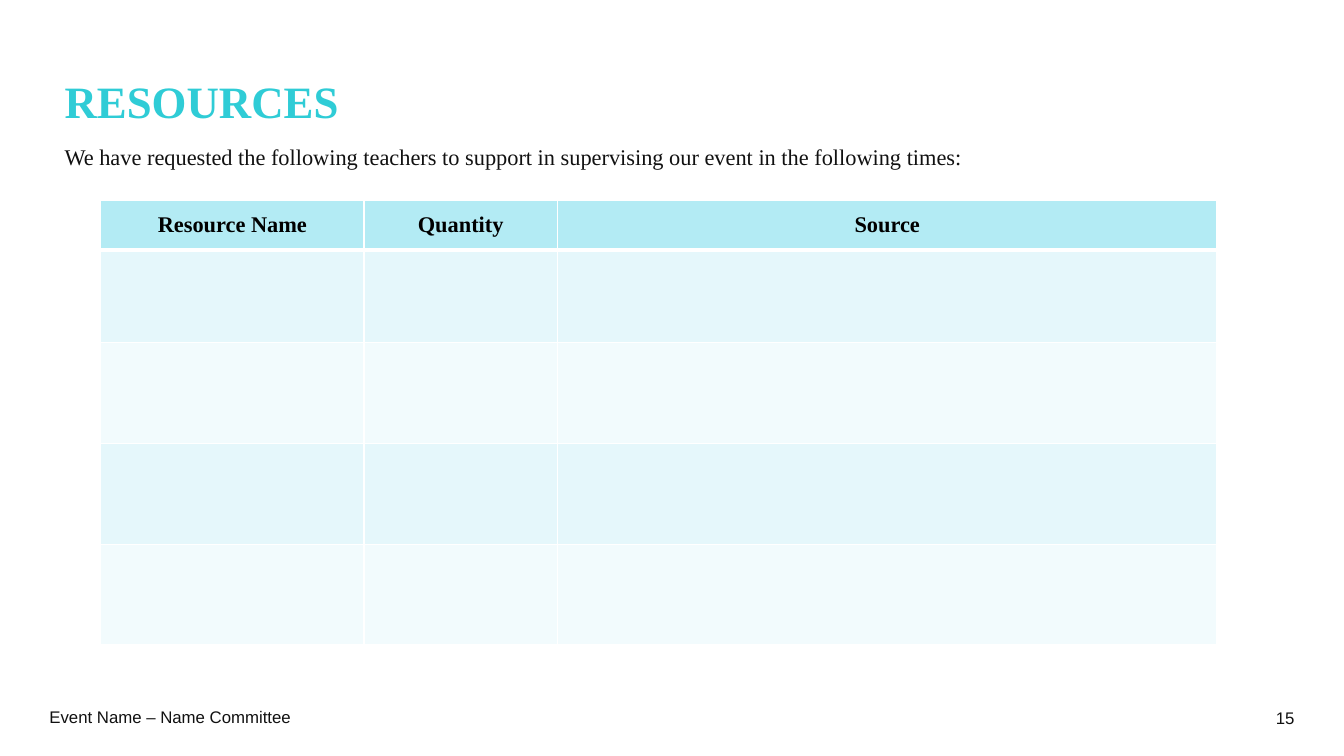
import pptx
import pptx.chart.data
import pptx.dml.color
import pptx.enum.text
import pptx.oxml
import pptx.oxml.ns
import pptx.util

Inches = pptx.util.Inches
Pt = pptx.util.Pt
ALIGN = pptx.enum.text.PP_ALIGN
ANCHOR = pptx.enum.text.MSO_ANCHOR

SERIF = "Times New Roman"
INK = "111111"
HEADS = ["Resource Name", "Quantity", "Source"]
WIDTHS = [2.61, 1.92, 6.54]
HEIGHTS = [0.49, 0.92, 1, 1, 1]
BANDS = ["E5F7FB", "F2FBFD"]


def color(code):
    return pptx.dml.color.RGBColor.from_string(code)


def write(frame, text, size=12, font="Arial", ink=INK, bold=False,
          align=ALIGN.LEFT, line=None):
    para = frame.paragraphs[0]
    para.alignment = align
    if line:
        para.line_spacing = line
    run = para.add_run()
    run.text = text
    run.font.size = Pt(size)
    run.font.name = font
    run.font.bold = bold
    run.font.color.rgb = color(ink)


def place(shape, left, top, width, height, anchor=ANCHOR.TOP):
    shape.left, shape.top = Inches(left), Inches(top)
    shape.width, shape.height = Inches(width), Inches(height)
    frame = shape.text_frame
    frame.word_wrap = True
    frame.auto_size = pptx.enum.text.MSO_AUTO_SIZE.NONE
    frame.vertical_anchor = anchor
    frame.margin_left = frame.margin_right = 0
    frame.margin_top = frame.margin_bottom = 0
    return frame


def label(slide, box, text, **style):
    shape = slide.shapes.add_textbox(0, 0, 0, 0)
    write(place(shape, *box), text, **style)


def edge(cell, side, width):
    # Borders must come before the cell's fill
    props = cell._tc.get_or_add_tcPr()
    props.append(pptx.oxml.parse_xml(
        f'<a:{side} {pptx.oxml.ns.nsdecls("a")} w="{Pt(width)}">'
        '<a:solidFill><a:srgbClr val="FFFFFF"/></a:solidFill>'
        f'</a:{side}>'))


def paint(cell, fill, top, bottom):
    for side, width in (("lnL", 1), ("lnR", 1), ("lnT", top), ("lnB", bottom)):
        edge(cell, side, width)
    cell.fill.solid()
    cell.fill.fore_color.rgb = color(fill)


def grid(slide, left, top):
    table = slide.shapes.add_table(
        len(HEIGHTS), len(WIDTHS), Inches(left), Inches(top),
        Inches(sum(WIDTHS)), Inches(sum(HEIGHTS))).table
    for col, width in zip(table.columns, WIDTHS):
        col.width = Inches(width)
    for index, height in enumerate(HEIGHTS):
        table.rows[index].height = Inches(height)
        fill = BANDS[(index - 1) % 2] if index else "B3EBF4"
        for cell in table.rows[index].cells:
            paint(cell, fill, 3 if index == 1 else 1, 1 if index else 3)
    # Header row
    for cell, head in zip(table.rows[0].cells, HEADS):
        cell.vertical_anchor = ANCHOR.MIDDLE
        write(cell.text_frame, head, size=16, font=SERIF, ink="000000",
              bold=True, align=ALIGN.CENTER)


def main():
    deck = pptx.Presentation()
    deck.slide_width, deck.slide_height = Inches(13.33), Inches(7.5)
    slide = deck.slides.add_slide(deck.slide_layouts[5])

    # Title and lead sentence
    title = place(slide.shapes.title, 0.64, 0.77, 12.35, 0.53, ANCHOR.MIDDLE)
    write(title, "RESOURCES", size=32, font=SERIF, ink="2FCCD6", bold=True,
          line=0.9)
    label(slide, (0.64, 1.45, 11.42, 0.29),
          "We have requested the following teachers to support in "
          "supervising our event in the following times:",
          size=16, font=SERIF, line=0.9)

    # Resource table
    grid(slide, 1, 1.99)

    # Footer
    label(slide, (0.49, 7.01, 4.47, 0.34), "Event Name – Name Committee")
    label(slide, (9.84, 7.02, 3, 0.4), "15", align=ALIGN.RIGHT)

    deck.save("out.pptx")


if __name__ == "__main__":
    main()
